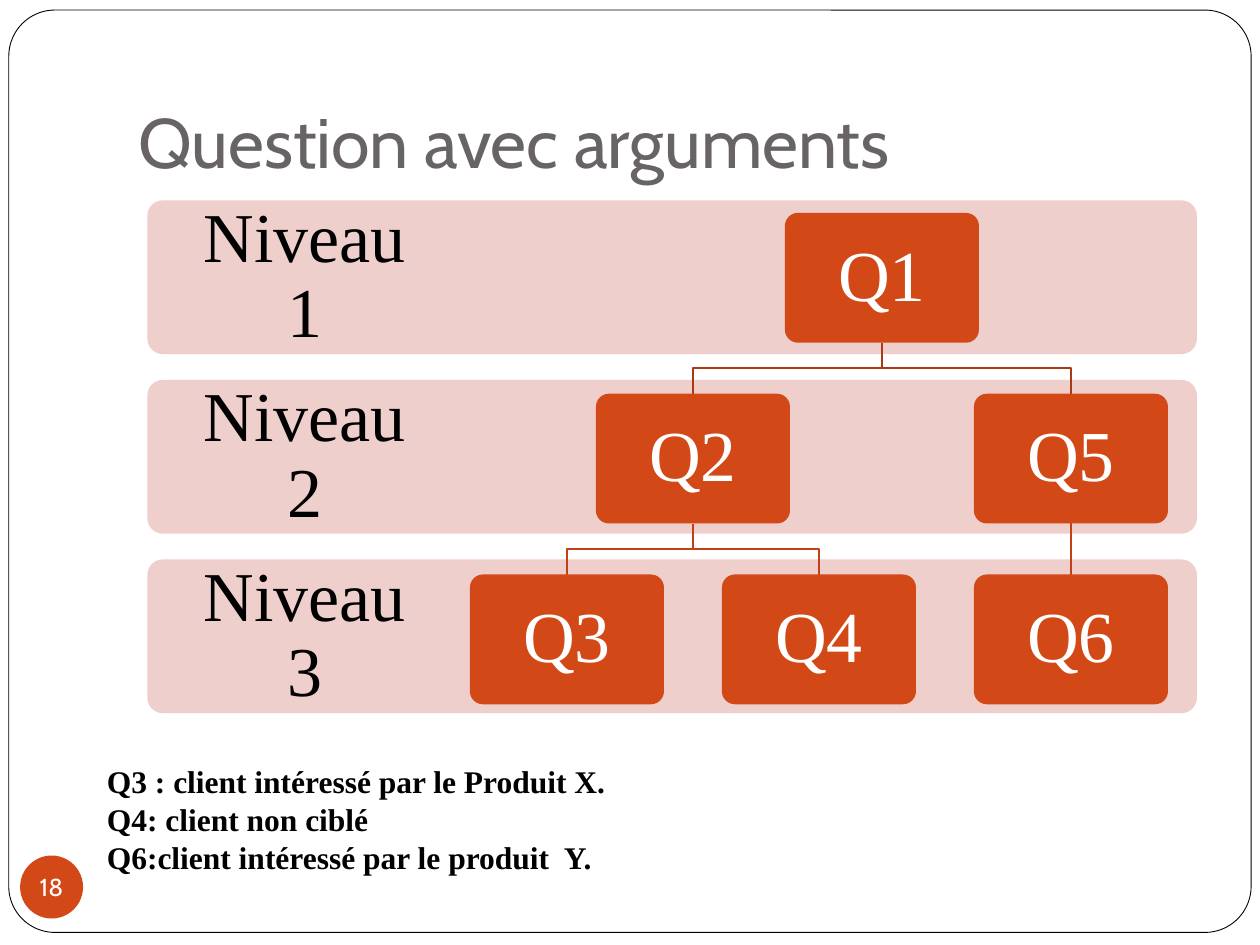
from lxml import etree
from pptx import Presentation
from pptx.dml.color import RGBColor
from pptx.enum.shapes import MSO_CONNECTOR, MSO_SHAPE
from pptx.enum.text import MSO_ANCHOR, PP_ALIGN
from pptx.oxml.ns import qn
from pptx.util import Inches, Pt

ROUND, OVAL = MSO_SHAPE.ROUNDED_RECTANGLE, MSO_SHAPE.OVAL
STRAIGHT = MSO_CONNECTOR.STRAIGHT
TOP, MIDDLE, BOTTOM = MSO_ANCHOR.TOP, MSO_ANCHOR.MIDDLE, MSO_ANCHOR.BOTTOM
LEFT, CENTER = PP_ALIGN.LEFT, PP_ALIGN.CENTER

COLORS = {
    "white": "FFFFFF", "black": "000000", "title": "696464",
    "band": "EFCFCC", "node": "D34817", "link1": "A93A12", "link2": "BF4115",
}
TITLE_FONT, BODY_FONT = "Cabin", "Times New Roman"


def rgb(name):
    return RGBColor.from_string(COLORS[name])


def write(tf, text, size=18, font=BODY_FONT, color="black", bold=False,
          align=LEFT, anchor=TOP, spacing=None, insets=(0.1, 0.05, 0.1, 0.05),
          wrap=True):
    tf.word_wrap = wrap
    tf.vertical_anchor = anchor
    tf.margin_left, tf.margin_top, tf.margin_right, tf.margin_bottom = map(Inches, insets)
    for i, line in enumerate(text.split("\n")):
        p = tf.paragraphs[0] if i == 0 else tf.add_paragraph()
        p.alignment = align
        if spacing:
            p.line_spacing = spacing
        r = p.add_run()
        r.text = line
        r.font.size = Pt(size)
        r.font.name = font
        r.font.bold = bold
        r.font.color.rgb = rgb(color)


class Deck:
    def __init__(self, width, height):
        self.prs = Presentation()
        self.prs.slide_width, self.prs.slide_height = Inches(width), Inches(height)
        self.s = self.prs.slides.add_slide(self.prs.slide_layouts[6])

    def shape(self, kind, box, fill, line=None, adj=None, text=None, **fmt):
        sp = self.s.shapes.add_shape(kind, *map(Inches, box))
        sp.shadow.inherit = False
        sp.fill.solid()
        sp.fill.fore_color.rgb = rgb(fill)
        if line:
            sp.line.color.rgb = rgb(line)
            sp.line.width = Pt(0.5)
        else:
            sp.line.fill.background()
        if adj is not None:
            sp.adjustments[0] = adj
        if text:
            write(sp.text_frame, text, **fmt)

    def text(self, box, text, **fmt):
        sp = self.s.shapes.add_textbox(*map(Inches, box))
        write(sp.text_frame, text, **fmt)

    def link(self, x1, y1, x2, y2, color):
        if x1 == x2:
            sp = self.s.shapes.add_connector(STRAIGHT, *map(Inches, (x1, y1, x2, y2)))
            etree.SubElement(sp.element.spPr, qn("a:effectLst"))
        else:
            mid = (y1 + y2) / 2
            fb = self.s.shapes.build_freeform(Inches(x1), Inches(y1))
            fb.add_line_segments([(Inches(x), Inches(y)) for x, y in
                                  ((x1, mid), (x2, mid), (x2, y2))], close=False)
            sp = fb.convert_to_shape()
            sp.shadow.inherit = False
            sp.fill.background()
        sp.line.color.rgb = rgb(color)
        sp.line.width = Pt(1)


BAND_X, BAND_Y, BAND_W, BAND_H = 1.17, 1.59, 8.33, 1.22
BAND_STEP = (4.44 - BAND_Y) / 2
NODE_Y, NODE_W, NODE_H = 1.69, 1.54, 1.03
NODE_STEP = (4.56 - NODE_Y) / 2
NODES = {
    "Q1": (7, 0, None), "Q2": (5.5, 1, "Q1"), "Q3": (4.5, 2, "Q2"),
    "Q4": (6.5, 2, "Q2"), "Q5": (8.5, 1, "Q1"), "Q6": (8.5, 2, "Q5"),
}

deck = Deck(10, 7.5)
deck.shape(ROUND, (0.07, 0.08, 9.86, 7.32), "white", line="black", adj=0.05)
deck.text((1, 0.3, 8.5, 1.25), "Question avec arguments", size=40, font=TITLE_FONT,
          color="title", anchor=BOTTOM, insets=(0.1, 0.05, 0.1, 0.1))

for level in range(3):
    y = BAND_Y + level * BAND_STEP
    deck.shape(ROUND, (BAND_X, y, BAND_W, BAND_H), "band", adj=0.1)
    deck.text((BAND_X, y, 2.5, BAND_H), f"Niveau {level + 1}", size=40, align=CENTER,
              anchor=MIDDLE, spacing=0.9, insets=(0.31,) * 4)

for name, (x, level, parent) in NODES.items():
    y = NODE_Y + level * NODE_STEP
    if parent:
        deck.link(NODES[parent][0], y - NODE_STEP + NODE_H, x, y, f"link{level}")
    deck.shape(ROUND, (x - NODE_W / 2, y, NODE_W, NODE_H), "node", adj=0.1, text=name,
               size=41, color="white", align=CENTER, anchor=MIDDLE, spacing=0.9,
               insets=(0.2,) * 4)

deck.text((0.75, 6, 5.5, 1.01),
          "Q3 : client intéressé par le Produit X.\n"
          "Q4: client non ciblé\n"
          "Q6:client intéressé par le produit  Y.", bold=True)
deck.shape(OVAL, (0.16, 6.79, 0.5, 0.5), "node", text="18", size=14, font=TITLE_FONT,
           color="white", align=CENTER, anchor=MIDDLE, insets=(0,) * 4, wrap=False)

deck.prs.save("out.pptx")
